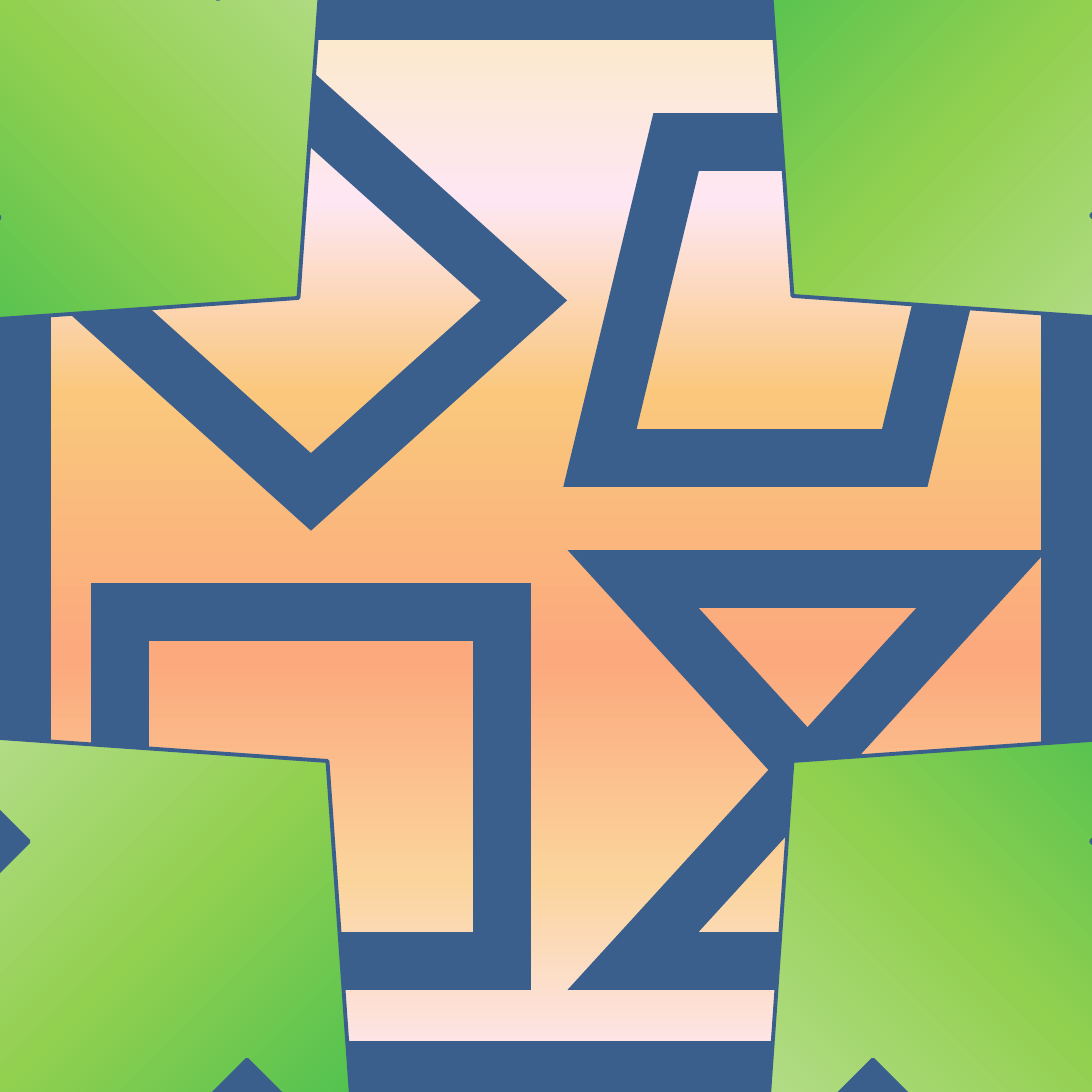
from dataclasses import dataclass

from lxml.etree import SubElement
from pptx import Presentation
from pptx.dml.color import RGBColor
from pptx.enum.shapes import MSO_SHAPE as SHAPE
from pptx.oxml.ns import qn
from pptx.util import Emu, Pt

EMU_PER_PX = 6597
SIDE = 1092
BLUE = "3A5F8C"
SUNSET = ((0, "FBEAC7"), (18, "FEE7F2"), (36, "FAC77D"),
          (61, "FBA97D"), (82, "FBD49C"), (100, "FEE7F2"))
LEAF = ((0, "DDEBCF"), (50, "92D050"), (100, "00B050"))
Stops = tuple[tuple[int, str], ...]


@dataclass(frozen=True)
class Figure:
    kind: SHAPE
    left: int
    top: int
    width: int
    height: int
    stops: Stops = ()
    line: int = 30
    rotation: int = 0
    join: str = "miter"


def arrow(left: int, top: int, rotation: int) -> Figure:
    return Figure(SHAPE.RIGHT_ARROW, left, top, 536, 617,
                  LEAF, 2, rotation, "round")


FIGURES = (
    Figure(SHAPE.ROUNDED_RECTANGLE, 22, 11, 1048, 1059, SUNSET),
    Figure(SHAPE.FLOWCHART_DECISION, 98, 109, 426, 383),
    Figure(SHAPE.FLOWCHART_DATA, 600, 142, 381, 316),
    Figure(SHAPE.FLOWCHART_PROCESS, 120, 612, 382, 349),
    Figure(SHAPE.FLOWCHART_COLLATE, 633, 579, 349, 382),
    arrow(-130, 642, 315),
    arrow(714, 642, 225),
    arrow(-159, -200, 45),
    arrow(714, -202, 135),
)


def px(n: int) -> Emu:
    return Emu(n * EMU_PER_PX)


def color(value: str) -> RGBColor:
    return RGBColor.from_string(value)


def fill_gradient(s, stops: Stops) -> None:
    s.fill.gradient()
    s.fill.gradient_angle = 270
    gs_list = s._element.spPr.find(qn("a:gradFill")).find(qn("a:gsLst"))
    for gs in list(gs_list):
        gs_list.remove(gs)
    for percent, value in stops:
        gs = SubElement(gs_list, qn("a:gs"), pos=str(percent * 1000))
        SubElement(gs, qn("a:srgbClr"), val=value)


def set_line(s, width: int, join: str) -> None:
    s.line.color.rgb = color(BLUE)
    s.line.width = Pt(width)
    ln = s._element.spPr.find(qn("a:ln"))
    limit = {"lim": "800000"} if join == "miter" else {}
    SubElement(ln, qn(f"a:{join}"), **limit)


def draw(slide, figure: Figure) -> None:
    s = slide.shapes.add_shape(figure.kind, px(figure.left), px(figure.top),
                               px(figure.width), px(figure.height))
    s.rotation = figure.rotation
    s.shadow.inherit = False
    if figure.stops:
        fill_gradient(s, figure.stops)
    else:
        s.fill.background()
    set_line(s, figure.line, figure.join)


def main() -> None:
    prs = Presentation()
    prs.slide_width = prs.slide_height = px(SIDE)
    slide = prs.slides.add_slide(prs.slide_layouts[6])
    for figure in FIGURES:
        draw(slide, figure)
    prs.save("out.pptx")


if __name__ == "__main__":
    main()
